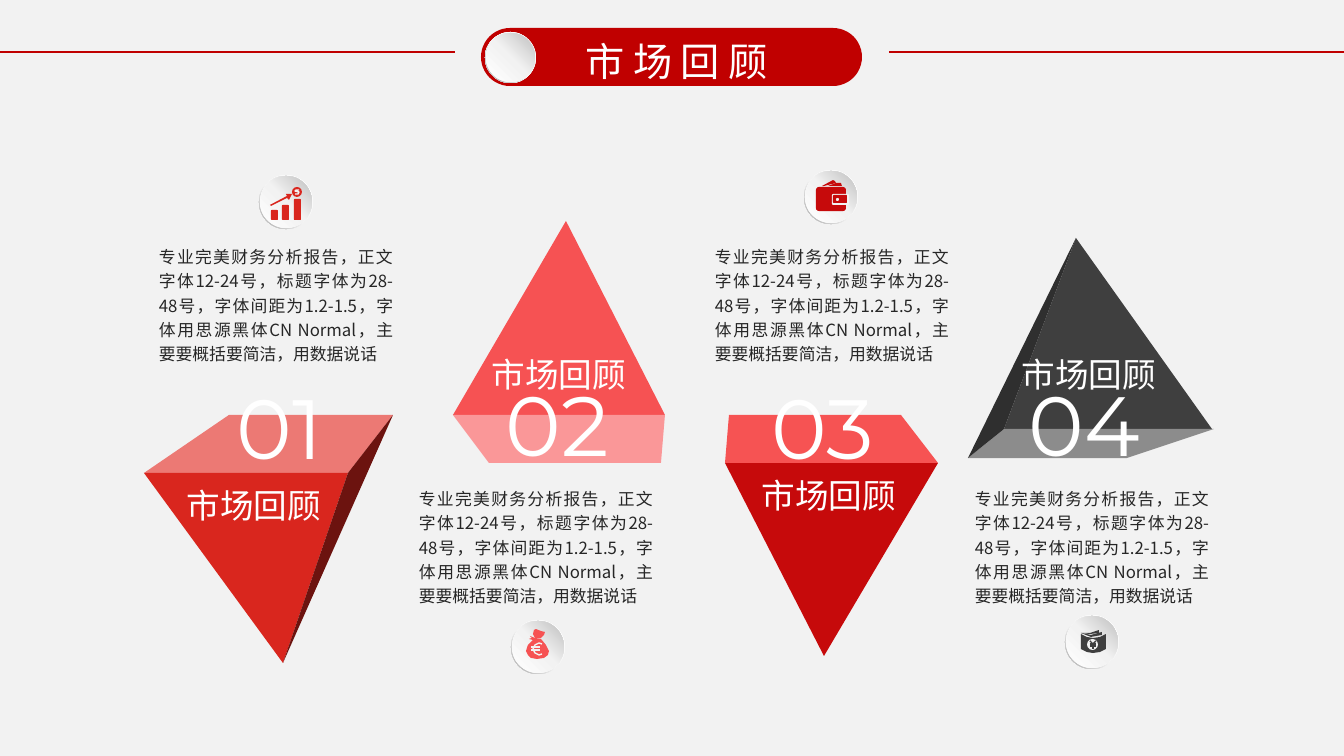
"""Build the market review slide with four pyramids, captions and icon badges."""
from lxml import etree
from pptx import Presentation
from pptx.dml.color import RGBColor
from pptx.enum.shapes import MSO_CONNECTOR, MSO_SHAPE
from pptx.enum.text import MSO_ANCHOR, MSO_AUTO_SIZE, PP_ALIGN
from pptx.oxml.ns import qn
from pptx.util import Pt

PX = 12192000 / 1344
OVAL, DONUT, ROUNDED = MSO_SHAPE.OVAL, MSO_SHAPE.DONUT, MSO_SHAPE.ROUNDED_RECTANGLE
STRAIGHT = MSO_CONNECTOR.STRAIGHT
CENTER, JUSTIFY = PP_ALIGN.CENTER, PP_ALIGN.JUSTIFY
TOP, FIXED = MSO_ANCHOR.TOP, MSO_AUTO_SIZE.NONE

CJK = "Noto Sans CJK SC"
THEME = {
    "background": "F2F2F2", "banner": "C00000",
    "red": "D9261E", "coral": "F65253", "crimson": "C60A0B", "charcoal": "3F3F3F",
    "rim": (135, [(0, "FFFFFF"), (55, "F2F2F2"), (100, "A6A6A6")]),
    "dome": (315, [(0, "FFFFFF"), (51, "F2F2F2"), (100, "BFBFBF")]),
    "title": dict(size=28, font=CJK, color="FFFFFF", align=CENTER, wrap=True),
    "heading": dict(size=24, font=CJK, color="FFFFFF", align=CENTER, wrap=False),
    "number": dict(size=60, font="Montserrat", color="FFFFFF", align=CENTER, wrap=False),
    "body": dict(size=12, font=CJK, color="262626", align=JUSTIFY, wrap=True),
}
HEADING = "市场回顾"
BODY = ("专业完美财务分析报告，正文字体12-24号，标题字体为28-48号，字体间距为1.2-1.5，"
        "字体用思源黑体CN Normal，主要要概括要简洁，用数据说话")

deck = Presentation()
deck.slide_width, deck.slide_height = round(1344 * PX), round(756 * PX)
slide = deck.slides.add_slide(deck.slide_layouts[5])
shapes = slide.shapes
slide.background.fill.solid()
slide.background.fill.fore_color.rgb = RGBColor.from_string(THEME["background"])


def add_preset(preset, box, paint, adjustment=None):
    """Add a borderless preset shape with a solid or gradient fill."""
    shape = shapes.add_shape(preset, *[round(v * PX) for v in box])
    shape.shadow.inherit = False
    shape.line.fill.background()
    if adjustment is not None:
        shape.adjustments[0] = adjustment
    if isinstance(paint, str):
        shape.fill.solid()
        shape.fill.fore_color.rgb = RGBColor.from_string(paint)
        return
    angle, stops = paint
    shape.fill.gradient()
    shape.fill.gradient_angle = 360 - angle
    stop_list = shape._element.spPr.find(".//" + qn("a:gsLst"))
    for old_stop in list(stop_list):
        stop_list.remove(old_stop)
    for position, color in stops:
        stop = etree.SubElement(stop_list, qn("a:gs"), pos=str(position * 1000))
        etree.SubElement(stop, qn("a:srgbClr"), val=color)


def add_outline(points, color, filled=True):
    """Add a filled polygon or an open thin stroke through the points."""
    builder = shapes.build_freeform(*points[0], scale=PX)
    builder.add_line_segments(points[1:], close=filled)
    outline = builder.convert_to_shape()
    outline.shadow.inherit = False
    unused, used = (outline.line.fill, outline.fill) if filled else (outline.fill, outline.line.fill)
    unused.background()
    used.solid()
    used.fore_color.rgb = RGBColor.from_string(color)
    if not filled:
        outline.line.width = Pt(1)


pyramid_faces = [
    ("3F3F3F", [(1004, 429), (1212, 429), (1076, 238)]),
    ("8C8C8C", [(968, 458), (1127, 458), (1214, 429), (1004, 429)]),
    ("2F2F2F", [(968, 458), (1004, 429), (1076, 238)]),
    ("EC7974", [(348, 473), (144, 473), (229, 415), (393, 415)]),
    ("D9261E", [(144, 473), (348, 473), (283, 663)]),
    ("6C130F", [(283, 663), (348, 473), (393, 415)]),
    ("F65253", [(453, 415), (665, 415), (566, 221)]),
    ("FA9798", [(665, 415), (453, 415), (489, 463), (661, 463)]),
    ("C60A0B", [(938, 463), (725, 463), (824, 656)]),
    ("F65353", [(725, 463), (938, 463), (901, 415), (729, 415)]),
]
for color, points in pyramid_faces:
    add_outline(points, color)

for start, end in [(0, 455), (889, 1344)]:
    rule = shapes.add_connector(STRAIGHT, *[round(v * PX) for v in (start, 52, end, 52)])
    rule.line.color.rgb = RGBColor.from_string(THEME["banner"])
    rule.line.width = Pt(1.5)
    etree.SubElement(rule._element.spPr, qn("a:effectLst"))

add_preset(ROUNDED, (481, 28, 381, 58), THEME["banner"], 0.5)
add_preset(OVAL, (485, 32, 51, 51), THEME["rim"])
add_preset(OVAL, (486, 33, 49, 49), THEME["dome"])

captions = [(HEADING, (486, 32, 381, 58), "title")]
columns = [
    ("01", (213, 371), (176, 480), (149, 238), (259, 175)),
    ("02", (491, 368), (481, 349), (409, 480), (511, 620)),
    ("03", (756, 371), (751, 470), (705, 238), (804, 170)),
    ("04", (1018, 368), (1011, 349), (965, 480), (1065, 615)),
]
for number, number_at, heading_at, body_at, (badge_x, badge_y) in columns:
    captions += [
        (number, (*number_at, 133, 112), "number"),
        (HEADING, (*heading_at, 156, 50), "heading"),
        (BODY, (*body_at, 254, 131), "body"),
    ]
    add_preset(DONUT, (badge_x, badge_y, 54, 54), THEME["rim"], 0.049)
    add_preset(OVAL, (badge_x + 1, badge_y + 1, 52, 52), THEME["dome"])

for text, box, role in captions:
    style = THEME[role]
    left, top, width, height = [round(v * PX) for v in box]
    if role == "title":
        caption = shapes.title
        caption.left, caption.top, caption.width, caption.height = left, top, width, height
        shapes._spTree.append(caption._element)
    else:
        caption = shapes.add_textbox(left, top, width, height)
    frame = caption.text_frame
    frame.text = text
    frame.word_wrap = style["wrap"]
    frame.auto_size = FIXED
    frame.vertical_anchor = TOP
    paragraph = frame.paragraphs[0]
    paragraph.alignment = style["align"]
    if role == "body":
        paragraph.line_spacing = 1.2
    run = paragraph.runs[0]
    run.font.size = Pt(style["size"])
    run.font.name = style["font"]
    run.font.color.rgb = RGBColor.from_string(style["color"])
    etree.SubElement(run._r.rPr, qn("a:ea"), typeface=style["font"])
    if role == "title":
        run._r.rPr.set("spc", "600")

icon_polygons = [
    ("red", [(270, 205), (287, 196), (286, 194), (292, 194), (289, 200), (287, 198), (271, 206)]),
    ("coral", [(536, 629), (541, 631), (545, 632), (544, 635), (541, 638), (535, 638),
               (533, 634), (534, 630)]),
    ("coral", [(530, 636), (535, 638), (541, 639), (546, 645), (549, 651), (548, 655),
               (544, 658), (537, 659), (531, 658), (528, 655), (526, 651), (528, 645),
               (533, 640), (529, 639), (532, 638)]),
    ("crimson", [(822, 186), (833, 180), (835, 181), (836, 183), (824, 186)]),
    ("crimson", [(828, 186), (836, 183), (841, 183), (842, 186)]),
    ("charcoal", [(1081, 633), (1090, 633), (1099, 630), (1099, 633), (1090, 634)]),
    ("charcoal", [(1081, 633), (1091, 635), (1102, 632), (1102, 635), (1091, 637)]),
    ("charcoal", [(1081, 634), (1087, 637), (1093, 638), (1100, 637), (1106, 634),
                  (1106, 649), (1100, 652), (1093, 653), (1087, 652), (1081, 649)]),
]
for color, points in icon_polygons:
    add_outline(points, THEME[color])

icon_presets = [
    (ROUNDED, (271, 210, 7, 10), "red"),
    (ROUNDED, (282, 205, 7, 15), "red"),
    (ROUNDED, (294, 199, 7, 21), "red"),
    (OVAL, (292, 187, 10, 10), "red"),
    (ROUNDED, (816, 187, 30, 24), "crimson"),
    (ROUNDED, (832, 194, 17, 11), "background"),
    (ROUNDED, (833, 195, 14, 8), "crimson"),
    (OVAL, (836, 198, 3, 3), "background"),
    (OVAL, (1087, 639, 11, 11), "background"),
]
for preset, box, color in icon_presets:
    add_preset(preset, box, THEME[color], 0.12 if preset == ROUNDED else None)

currency_strokes = [
    ("background", [(299, 190), (296, 190), (295, 191), (299, 192), (298, 194), (295, 194)]),
    ("background", [(542, 644), (539, 643), (535, 645), (533, 649), (535, 653), (539, 655), (542, 654)]),
    ("background", [(531, 647), (540, 647)]),
    ("background", [(531, 650), (540, 650)]),
    ("charcoal", [(1090, 641), (1093, 644), (1096, 641)]),
    ("charcoal", [(1093, 644), (1093, 649)]),
    ("charcoal", [(1090, 644), (1096, 644)]),
    ("charcoal", [(1090, 646), (1096, 646)]),
]
for color, points in currency_strokes:
    add_outline(points, THEME[color], filled=False)

deck.save("out.pptx")
